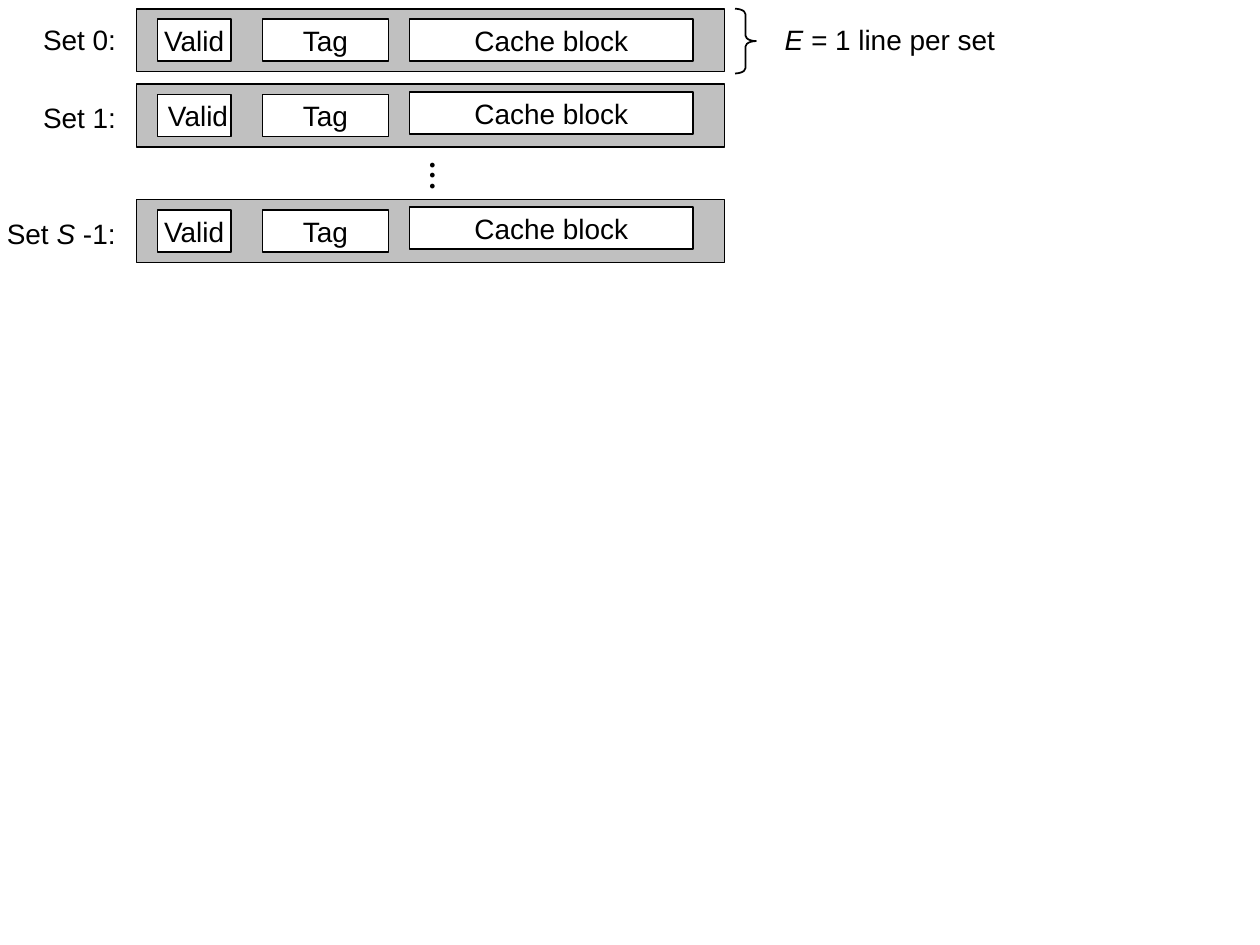
from dataclasses import dataclass

from pptx import Presentation
from pptx.dml.color import RGBColor
from pptx.enum.shapes import MSO_SHAPE
from pptx.enum.text import MSO_ANCHOR, MSO_AUTO_SIZE, PP_ALIGN
from pptx.util import Pt

RECTANGLE = MSO_SHAPE.RECTANGLE
RIGHT_BRACE = MSO_SHAPE.RIGHT_BRACE
MIDDLE = MSO_ANCHOR.MIDDLE
CENTER = PP_ALIGN.CENTER
FIT_SHAPE = MSO_AUTO_SIZE.SHAPE_TO_FIT_TEXT

BLACK = RGBColor(0x00, 0x00, 0x00)
WHITE = RGBColor(0xFF, 0xFF, 0xFF)
GRAY = RGBColor(0xC0, 0xC0, 0xC0)

FONT = "Arial"
SET_LEFT, SET_WIDTH, SET_HEIGHT = 78, 336, 36
FIELD_HEIGHT = 24
LABEL_RIGHT, LABEL_HEIGHT = 73.5, 26.5


@dataclass(frozen=True)
class Span:
    text: str
    italic: bool = False


@dataclass(frozen=True)
class Area:
    left: float
    top: float
    width: float
    height: float

    def lengths(self) -> tuple:
        return Pt(self.left), Pt(self.top), Pt(self.width), Pt(self.height)


@dataclass(frozen=True)
class CacheSet:
    top: float
    label: tuple
    label_width: float
    label_offset: float
    block_offset: float
    valid_text: str = "Valid"


CACHE_SETS = (
    CacheSet(5, (Span("Set 0:"),), 56, 4.5, 6),
    CacheSet(48, (Span("Set 1:"),), 56, 6, 4.5, " Valid"),
    CacheSet(114, (Span("Set "), Span("S ", True), Span("-1:")), 77, 6, 4.5),
)


def write(shape, spans: tuple, size: float = 16) -> None:
    frame = shape.text_frame
    frame.word_wrap = False
    frame.vertical_anchor = MIDDLE
    para = frame.paragraphs[0]
    para.alignment = CENTER
    for span in spans:
        run = para.add_run()
        run.text = span.text
        run.font.name = FONT
        run.font.size = Pt(size)
        run.font.italic = span.italic
        run.font.color.rgb = BLACK


def add_outlined(page, kind, area: Area):
    shape = page.shapes.add_shape(kind, *area.lengths())
    shape.shadow.inherit = False
    shape.line.color.rgb = BLACK
    shape.line.width = Pt(1)
    return shape


def add_rectangle(page, area: Area, color: RGBColor):
    shape = add_outlined(page, RECTANGLE, area)
    shape.fill.solid()
    shape.fill.fore_color.rgb = color
    return shape


def add_field(page, left: float, top: float, width: float, text: str) -> None:
    field = add_rectangle(page, Area(left, top, width, FIELD_HEIGHT), WHITE)
    write(field, (Span(text),))


def add_label(page, area: Area, spans: tuple, size: float = 16):
    box = page.shapes.add_textbox(*area.lengths())
    write(box, spans, size)
    box.text_frame.auto_size = FIT_SHAPE
    return box


def add_cache_set(page, row: CacheSet) -> None:
    add_rectangle(page, Area(SET_LEFT, row.top, SET_WIDTH, SET_HEIGHT), GRAY)
    add_field(page, 90, row.top + 6, 42, row.valid_text)
    add_field(page, 150, row.top + 6, 72, "Tag")
    add_field(page, 234, row.top + row.block_offset, 162, "Cache block")
    label_area = Area(LABEL_RIGHT - row.label_width, row.top + row.label_offset,
                      row.label_width, LABEL_HEIGHT)
    add_label(page, label_area, row.label)


def main() -> None:
    deck = Presentation()
    deck.slide_width, deck.slide_height = Pt(720), Pt(540)
    page = deck.slides.add_slide(deck.slide_layouts[6])

    for row in CACHE_SETS:
        add_cache_set(page, row)

    dots = add_label(page, Area(234.5, 85.5, 26.5, 23), (Span("• • •"),), 10)
    dots.text_frame._txBody.bodyPr.set("vert", "eaVert")

    brace = add_outlined(page, RIGHT_BRACE, Area(420, 5, 12, 37))
    brace.fill.background()
    brace.adjustments[0] = 0.26
    brace.adjustments[1] = 0.5

    add_label(page, Area(440, 9.5, 137, LABEL_HEIGHT),
              (Span("E = ", True), Span("1 line per set")))

    deck.save("out.pptx")


if __name__ == "__main__":
    main()
